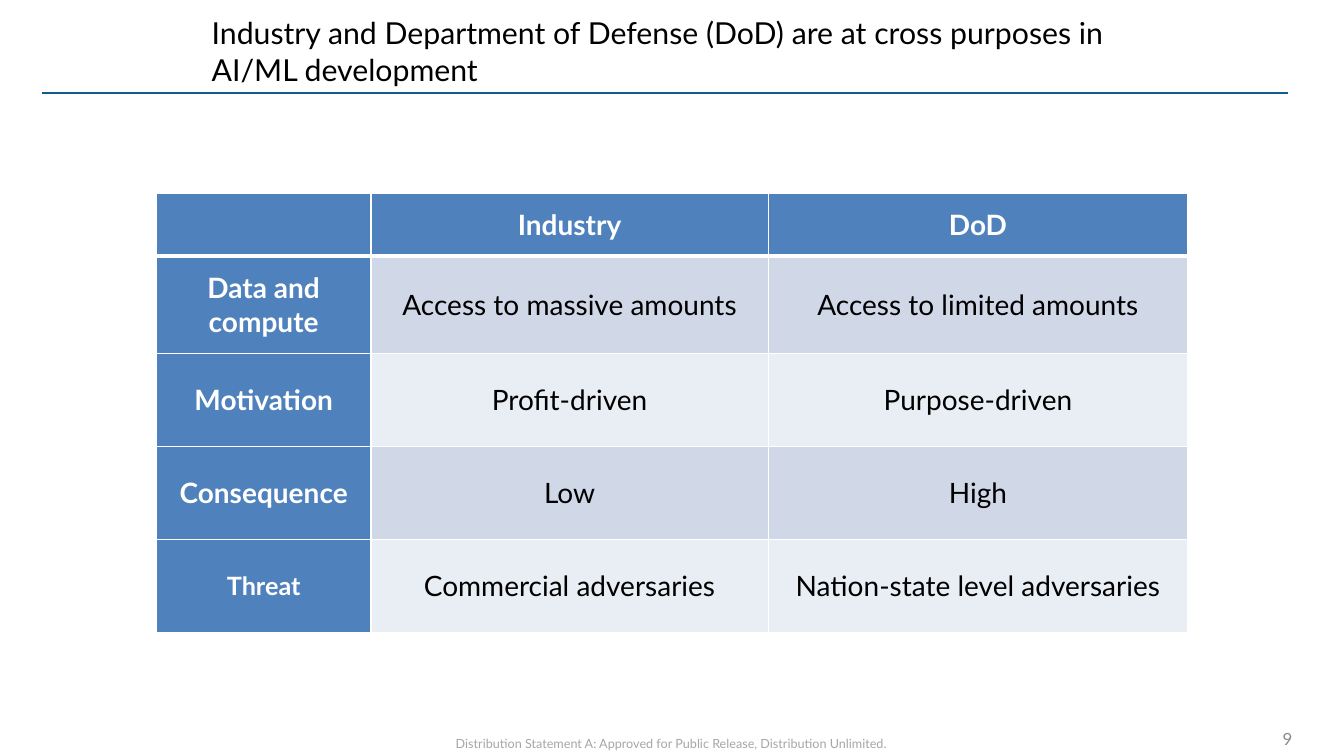
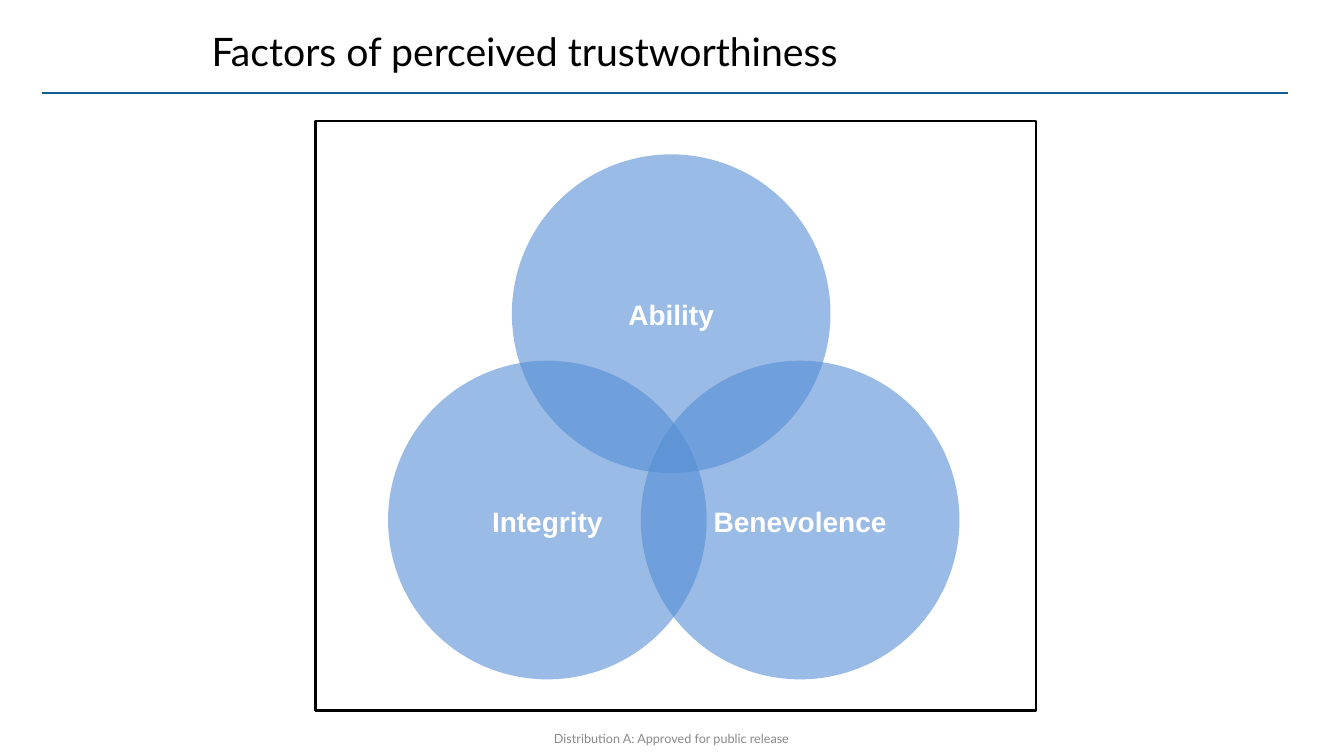
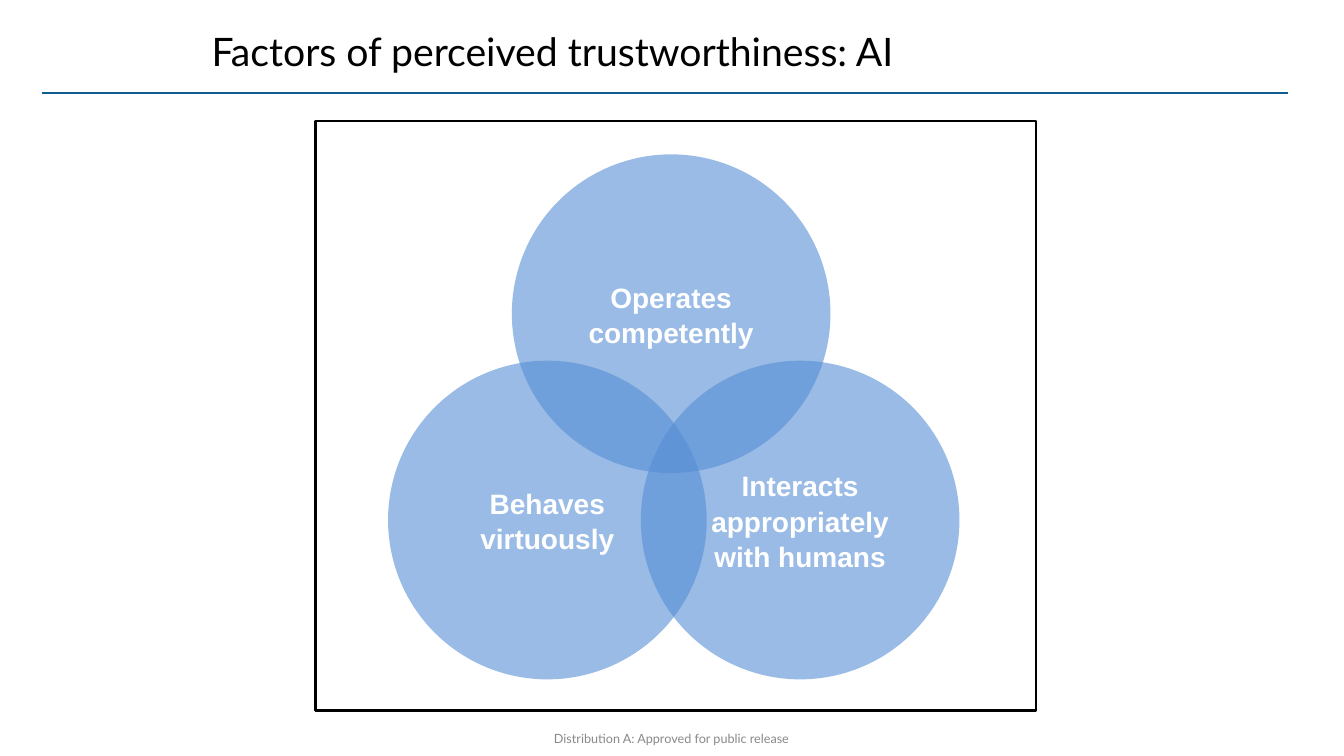
"""Build three slides on trust in AI: a comparison table and two Venn diagrams."""
import pptx
import pptx.dml.color
import pptx.enum.shapes
import pptx.enum.text
import pptx.oxml
import pptx.oxml.ns
import pptx.util
from lxml import etree

Cm = pptx.util.Cm
Pt = pptx.util.Pt
RGBColor = pptx.dml.color.RGBColor
ALIGN = pptx.enum.text.PP_ALIGN
ANCHOR = pptx.enum.text.MSO_ANCHOR
SHAPE = pptx.enum.shapes.MSO_SHAPE
qn = pptx.oxml.ns.qn

BLACK = RGBColor(0x00, 0x00, 0x00)
WHITE = RGBColor(0xFF, 0xFF, 0xFF)
RULE_BLUE = RGBColor(0x0F, 0x5E, 0x90)
HEADER_BLUE = RGBColor(0x4F, 0x81, 0xBD)
BAND_DARK = RGBColor(0xD0, 0xD8, 0xE8)
BAND_LIGHT = RGBColor(0xE9, 0xED, 0xF4)
CIRCLE_BLUE = RGBColor(0x55, 0x8E, 0xD5)
GREY = RGBColor(0x89, 0x89, 0x89)
LIGHT_GREY = RGBColor(0xA6, 0xA6, 0xA6)

COMPARISON = [
    ("", "Industry", "DoD"),
    ("Data and compute", "Access to massive amounts", "Access to limited amounts"),
    ("Motivation", "Profit-driven", "Purpose-driven"),
    ("Consequence", "Low", "High"),
    ("Threat", "Commercial adversaries", "Nation-state level adversaries"),
]
COLUMN_WIDTHS = [5.41, 10.01, 10.57]
ROW_HEIGHTS = [1.57, 2.46, 2.34, 2.34, 2.34]
CIRCLE_SIZE = 8.03
CIRCLE_CORNERS = [(12.9, 3.89), (9.78, 9.09), (16.15, 9.09)]
VENNS = [
    ("Factors of perceived trustworthiness",
     ("Ability", "Integrity", "Benevolence")),
    ("Factors of perceived trustworthiness: AI",
     ("Operates competently", "Behaves virtuously", "Interacts appropriately with humans")),
]


def format_text(tf, size, color, align, font="Lato", bold=False):
    """Format every paragraph and run of a text frame."""
    for p in tf.paragraphs:
        p.alignment = align
        for r in p.runs:
            r.font.name = font
            r.font.size = Pt(size)
            r.font.bold = bold
            r.font.color.rgb = color


def add_titled_slide(prs, layout, title, size=28, width=27.38):
    """Add a slide with a left-aligned title."""
    slide = prs.slides.add_slide(layout)
    sp = slide.shapes.title
    sp.left, sp.top, sp.width, sp.height = Cm(5.08), Cm(0.43), Cm(width), Cm(1.7)
    tf = sp.text_frame
    tf.text = title
    tf.auto_size = pptx.enum.text.MSO_AUTO_SIZE.NONE
    tf.vertical_anchor = ANCHOR.MIDDLE
    format_text(tf, size, BLACK, ALIGN.LEFT)
    return slide


def add_layout_rule(slide):
    """Put the rule below the title on the layout of a slide."""
    line = slide.shapes.add_connector(
        pptx.enum.shapes.MSO_CONNECTOR.STRAIGHT, Cm(1.07), Cm(2.34), Cm(32.46), Cm(2.34))
    line.line.color.rgb = RULE_BLUE
    line.line.width = Pt(1.75)
    etree.SubElement(line.element.spPr, qn("a:effectLst"))
    slide.slide_layout.placeholders[0].element.addnext(line.element)


def add_label(slide, text, box, size, color, align=ALIGN.CENTER, anchor=ANCHOR.MIDDLE):
    """Add a text box; box is left, top, width and height in cm."""
    tf = slide.shapes.add_textbox(*map(Cm, box)).text_frame
    tf.word_wrap = True
    tf.vertical_anchor = anchor
    tf.text = text
    format_text(tf, size, color, align)


def set_borders(cell, top, bottom):
    """Give a cell white borders with the given top and bottom widths."""
    tcPr = cell._tc.get_or_add_tcPr()
    for side, width in (("L", 1), ("R", 1), ("T", top), ("B", bottom)):
        ln = etree.SubElement(tcPr, qn(f"a:ln{side}"), w=str(Pt(width)))
        fill = etree.SubElement(ln, qn("a:solidFill"))
        etree.SubElement(fill, qn("a:srgbClr"), val=str(WHITE))


def fill_cell(cell, text, row, col):
    """Write and style one cell according to its place in the table."""
    is_header = row == 0 or col == 0
    set_borders(cell, 3 if row == 1 else 1, 3 if row == 0 else 1)
    cell.fill.solid()
    cell.fill.fore_color.rgb = HEADER_BLUE if is_header else (BAND_LIGHT, BAND_DARK)[row % 2]
    cell.vertical_anchor = ANCHOR.MIDDLE
    if not is_header:
        cell.margin_left = cell.margin_right = Cm(0.38)
        cell.margin_top = cell.margin_bottom = Cm(0.38)
    cell.text_frame.text = text
    size = 18 if text == "Threat" else 20
    format_text(cell.text_frame, size, WHITE if is_header else BLACK, ALIGN.CENTER, bold=is_header)


def add_comparison(slide):
    """Add the comparison table."""
    table = slide.shapes.add_table(
        len(ROW_HEIGHTS), len(COLUMN_WIDTHS), Cm(3.94), Cm(4.88),
        Cm(sum(COLUMN_WIDTHS)), Cm(sum(ROW_HEIGHTS))).table
    for column, width in zip(table.columns, COLUMN_WIDTHS):
        column.width = Cm(width)
    for row, height in zip(table.rows, ROW_HEIGHTS):
        row.height = Cm(height)
    for i, texts in enumerate(COMPARISON):
        for j, text in enumerate(texts):
            fill_cell(table.cell(i, j), text, i, j)


def add_frame(slide):
    """Add the black-edged frame of a diagram."""
    sp = slide.shapes.add_shape(SHAPE.RECTANGLE, Cm(7.95), Cm(3.05), Cm(18.16), Cm(14.86))
    sp.shadow.inherit = False
    sp.fill.solid()
    sp.fill.fore_color.rgb = WHITE
    sp.line.color.rgb = BLACK
    sp.line.width = Pt(2)


def add_circle(group, text, left, top):
    """Add one see-through circle with its label."""
    sp = group.shapes.add_shape(SHAPE.OVAL, Cm(left), Cm(top), Cm(CIRCLE_SIZE), Cm(CIRCLE_SIZE))
    sp.shadow.inherit = False
    sp.fill.solid()
    sp.fill.fore_color.rgb = CIRCLE_BLUE
    color = sp.element.spPr.find(qn("a:solidFill")).find(qn("a:srgbClr"))
    etree.SubElement(color, qn("a:alpha"), val="60000")
    sp.line.fill.background()
    tf = sp.text_frame
    tf.word_wrap = True
    tf.vertical_anchor = ANCHOR.MIDDLE
    tf.text = text
    tf.paragraphs[0].line_spacing = 1.05
    format_text(tf, 20, WHITE, ALIGN.CENTER, font="Arial", bold=True)


def add_venn(slide, labels):
    """Add the frame and the three overlapping circles."""
    add_frame(slide)
    group = slide.shapes.add_group_shape()
    for text, (left, top) in zip(labels, CIRCLE_CORNERS):
        add_circle(group, text, left, top)


def main():
    """Build and save the presentation."""
    prs = pptx.Presentation()
    prs.slide_width, prs.slide_height = Cm(33.87), Cm(19.05)
    layout = prs.slide_layouts[5]

    slide = add_titled_slide(
        prs, layout,
        "Industry and Department of Defense (DoD) are at cross purposes in AI/ML development",
        size=21.6, width=23.67)
    add_layout_rule(slide)
    add_comparison(slide)
    add_label(slide, "9", (30, 18.21, 2.82, 0.81), 12, GREY, align=ALIGN.RIGHT)
    add_label(slide, "Distribution Statement A: Approved for Public Release, Distribution Unlimited.",
              (7.92, 18.42, 17.98, 0.64), 9, LIGHT_GREY, anchor=ANCHOR.TOP)

    for title, labels in VENNS:
        slide = add_titled_slide(prs, layout, title)
        add_venn(slide, labels)
        add_label(slide, "Distribution A: Approved for public release",
                  (4.93, 18.19, 23.98, 0.84), 9, GREY)

    prs.save("out.pptx")


if __name__ == "__main__":
    main()
